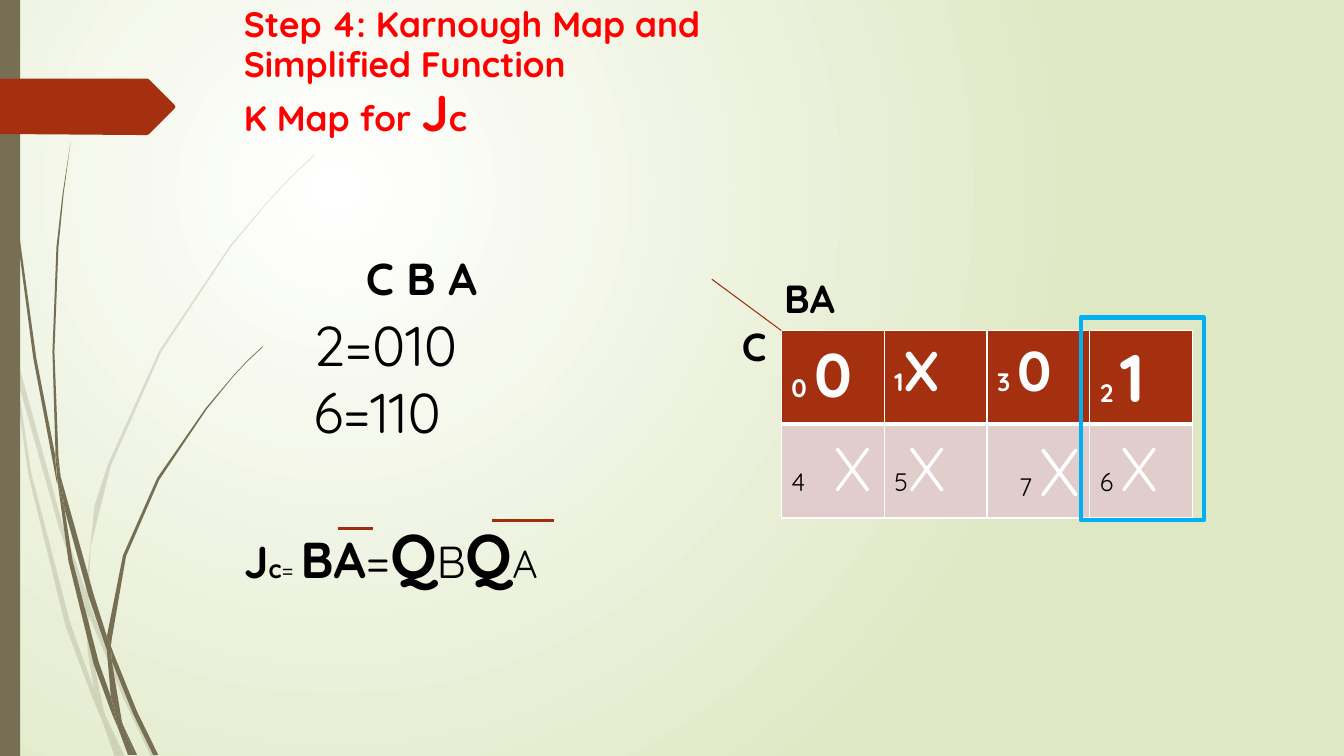
import pptx
import pptx.dml.color
import pptx.enum.shapes
import pptx.enum.text
import pptx.oxml
import pptx.oxml.ns
import pptx.util
from lxml import etree

Inches = pptx.util.Inches
RGBColor = pptx.dml.color.RGBColor
SHAPES = pptx.enum.shapes.MSO_SHAPE
ALIGN = pptx.enum.text.PP_ALIGN

BLACK = RGBColor(0x00, 0x00, 0x00)
WHITE = RGBColor(0xFF, 0xFF, 0xFF)
RED = RGBColor(0xFF, 0x00, 0x00)
RUST = RGBColor(0xA5, 0x30, 0x10)
DARK_RUST = RGBColor(0x9E, 0x2E, 0x0F)
PINK = RGBColor(0xE1, 0xCD, 0xCC)
OLIVE = RGBColor(0x76, 0x6F, 0x54)
LIME = RGBColor(0xDF, 0xE8, 0xC4)
SKY = RGBColor(0x00, 0xB0, 0xF0)
FONT = "Quicksand"

# Grass outlines as x, y pairs in hundredths of an inch
PALE_GRASS = [
    "11,350 9,322 0,282 0,299 10,344",
    "58,522 84,599 85,586 62,520 14,345 17,376",
    "92,607 88,596 88,610 123,694 150,751 155,751 127,692",
    "119,751 124,751 105,711",
    "93,683 70,619 31,469 17,376 11,350 28,470 65,621 92,693 101,714 99,707",
    "84,599 87,646 93,683 96,692 105,711 103,706 91,646 88,610 88,608",
    "88,584 90,542 110,462 160,349 229,245 268,198 290,175 312,154 312,153 289,175 "
    "268,197 228,244 158,348 107,461 94,501 85,584 85,586 88,596",
    "101,714 114,751 119,751",
    "88,608 88,610 88,596 85,586 84,599",
    "96,692 93,683 99,707 101,714 119,751 105,711",
]
DARK_GRASS = [
    "7,110 17,233 33,355 56,477 57,481 55,457 55,453 36,355 19,232 8,109 5,48 4,0 3,0 4,48",
    "88,592 106,645 106,631 93,590 60,472 64,505",
    "113,649 110,641 111,656 132,708 152,749 157,749 136,706",
    "110,691 98,657 72,556 64,505 57,477 68,557 93,659 111,708 117,722 116,717",
    "60,472 58,453 54,349 58,245 63,193 70,141 62,193 56,245 52,349 55,449",
    "133,749 136,749 122,719",
    "57,477 64,505 60,472 55,449 55,453",
    "111,633 125,552 158,476 205,406 231,374 245,359 261,344 260,344 245,358 "
    "231,373 204,405 156,474 122,551 106,631 110,641",
    "117,722 127,749 131,749",
    "106,645 110,691 116,706 122,719 121,716 111,656 109,651",
    "106,645 109,651 111,656 110,641 106,631 106,633",
    "116,706 110,691 116,717 117,722 130,749 133,749 122,719",
]
PENTAGON = "173,108 148,133 146,134 136,134 0,133 0,78 136,78 146,78 148,79 173,104 174,106"


def fill_plain(shape, color):
    shape.shadow.inherit = False
    shape.fill.solid()
    shape.fill.fore_color.rgb = color
    shape.line.fill.background()


def add_outline(page, left, top, outline, color, opacity=100):
    points = [tuple(map(int, pair.split(","))) for pair in outline.split()]
    builder = page.shapes.build_freeform(*points[0], scale=Inches(0.01))
    builder.add_line_segments(points[1:], close=True)
    shape = builder.convert_to_shape(Inches(left), Inches(top))
    fill_plain(shape, color)
    if opacity < 100:
        tint = shape.fill._xPr.find(".//" + pptx.oxml.ns.qn("a:srgbClr"))
        etree.SubElement(tint, pptx.oxml.ns.qn("a:alpha"), val=str(opacity * 1000))


def add_line(page, start, end, width):
    line = page.shapes.add_connector(
        pptx.enum.shapes.MSO_CONNECTOR.STRAIGHT, *map(Inches, start + end))
    line.line.color.rgb = DARK_RUST
    line.line.width = pptx.util.Pt(width)
    etree.SubElement(line._element.spPr, pptx.oxml.ns.qn("a:effectLst"))


def add_spans(para, spans, color):
    """Each span is text, size, bold and, if it differs, a colour."""
    for text, size, bold, *other in spans:
        span = para.add_run()
        span.text = text
        span.font.name = FONT
        span.font.size = pptx.util.Pt(size)
        span.font.bold = bold
        span.font.color.rgb = other[0] if other else color


def add_text(page, left, top, width, height, lines, color=BLACK, spacing=None):
    box = page.shapes.add_textbox(*map(Inches, (left, top, width, height)))
    frame = box.text_frame
    frame.word_wrap = True
    for index, spans in enumerate(lines):
        para = frame.add_paragraph() if index else frame.paragraphs[0]
        para.line_spacing = spacing
        add_spans(para, spans, color)


def add_background(page):
    fill = page.background.fill
    fill.gradient()
    for stop, color, position in zip(fill.gradient_stops, (WHITE, LIME), (0, 1)):
        stop.color.rgb = color
        stop.position = position
    grad = page._element.find(".//" + pptx.oxml.ns.qn("a:gradFill"))
    grad.replace(grad.find(pptx.oxml.ns.qn("a:lin")), pptx.oxml.parse_xml(
        f'<a:path {pptx.oxml.ns.nsdecls("a")} path="circle">'
        '<a:fillToRect l="50000" t="50000" r="100000" b="100000"/></a:path>'))


def add_side_decoration(page, left, top, height):
    for outlines, opacity in ((PALE_GRASS, 20), (DARK_GRASS, 100)):
        for outline in outlines:
            add_outline(page, left, top, outline, OLIVE, opacity)
    bar = page.shapes.add_shape(
        SHAPES.RECTANGLE, *map(Inches, (left, top, 0.2, height)))
    fill_plain(bar, OLIVE)
    add_outline(page, left, top, PENTAGON, RUST)


def set_borders(cell, bottom):
    props = cell._tc.get_or_add_tcPr()
    for index, (side, width) in enumerate((("L", 1), ("R", 1), ("T", 1), ("B", bottom))):
        props.insert(index, pptx.oxml.parse_xml(
            f'<a:ln{side} {pptx.oxml.ns.nsdecls("a")} w="{width * 12700}">'
            f'<a:solidFill><a:srgbClr val="{WHITE}"/></a:solidFill></a:ln{side}>'))


def add_karnaugh_map(page, left, top, column, row):
    cells = [
        [("0 ", "0", 44), ("1", "X", 40), ("3 ", "0", 40), ("2 ", "1", 48)],
        [("4\t", "X", 44), ("5", "X", 44), ("7 ", "X", 48), ("6 ", "X", 44)],
    ]
    table = page.shapes.add_table(
        2, 4, *map(Inches, (left, top, 4 * column, 2 * row))).table
    for table_column in table.columns:
        table_column.width = Inches(column)
    for r, entries in enumerate(cells):
        header = r == 0
        table.rows[r].height = Inches(row)
        for c, (number, value, size) in enumerate(entries):
            cell = table.cell(r, c)
            cell.fill.solid()
            cell.fill.fore_color.rgb = RUST if header else PINK
            set_borders(cell, 3 if header else 1)
            para = cell.text_frame.paragraphs[0]
            add_spans(para, [(number, 18, header, WHITE if header else BLACK),
                             (value, size, header)], WHITE)
            if number == "7 ":
                para.alignment = ALIGN.RIGHT
            if "\t" in number:
                para._p.get_or_add_pPr().append(pptx.oxml.parse_xml(
                    f'<a:tabLst {pptx.oxml.ns.nsdecls("a")}>'
                    f'<a:tab pos="{Inches(0.42)}" algn="l"/></a:tabLst>'))
    # Axis labels and the diagonal between them
    add_text(page, left - 0.07, top - 0.61, 0.84, 0.57, [[("BA", 28, True)]])
    add_text(page, left - 0.49, top - 0.13, 0.84, 0.57, [[("C", 28, True)]])
    add_line(page, (left - 0.69, top - 0.51), (left, top), 0.75)
    # Frame round the grouped last column
    group = page.shapes.add_shape(SHAPES.RECTANGLE, *map(
        Inches, (left + 3 * column - 0.09, top - 0.13, 1.22, 2.01)))
    group.shadow.inherit = False
    group.fill.background()
    group.line.color.rgb = SKY
    group.line.width = pptx.util.Pt(3)


def add_minterms(page, left, top):
    add_text(page, left + 0.52, top, 2.11, 0.64, [[("C B A", 32, True)]])
    add_text(page, left, top + 0.59, 4.05, 1.45,
             [[("2=010", 40, False)], [("6=110", 40, False)]])


def add_function(page, left, top):
    add_text(page, left, top, 4.1, 0.84, [[
        ("J", 32, True), ("c", 18, True), ("= ", 18, False), ("BA", 36, True),
        ("=", 36, False), ("Q", 44, True), ("B", 32, False), ("Q", 44, True),
        ("A", 28, False)]])
    # Negation bars
    for x, y, length in ((1.03, 0.16, 0.35), (2.56, 0.08, 0.61)):
        add_line(page, (left + x, top + y), (left + x + length, top + y), 2.25)


def main():
    deck = pptx.Presentation()
    deck.slide_width, deck.slide_height = Inches(13.33), Inches(7.5)
    page = deck.slides.add_slide(deck.slide_layouts[6])
    add_background(page)
    add_side_decoration(page, 0, 0, 7.5)
    add_text(page, 2.32, 0, 9.75, 1.4, [
        [("Step 4: Karnough Map and", 25.2, True)],
        [("Simplified Function", 25.2, True)],
        [("K Map for ", 25.2, True), ("J", 36, True), ("c", 25.2, True)],
    ], RED, 0.95)
    add_karnaugh_map(page, 7.75, 3.28, 1.02, 0.93)
    add_minterms(page, 3.01, 2.44)
    add_function(page, 2.32, 5.08)
    deck.save("out.pptx")


if __name__ == "__main__":
    main()
